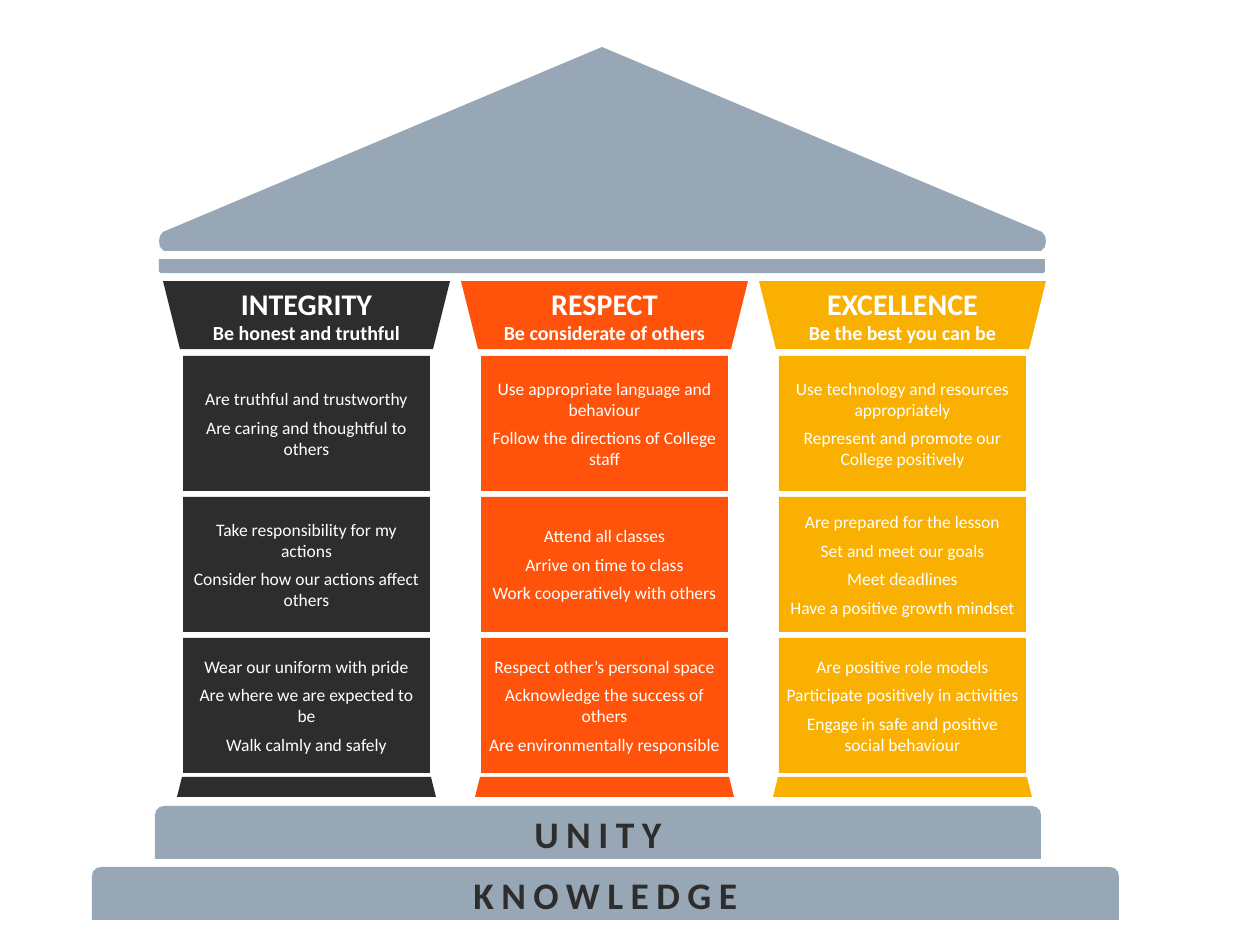
from pptx import Presentation
from pptx.dml.color import RGBColor
from pptx.enum.shapes import MSO_SHAPE as SHAPE
from pptx.enum.text import MSO_ANCHOR as ANCHOR, PP_ALIGN as ALIGN
from pptx.util import Emu, Pt

FONT = "Calibri"
STONE, INK, WHITE = "98A7B5", "2E2D2D", "FFFFFF"

PILLARS = [
    ("INTEGRITY", "Be honest and truthful", INK, [
        ["Are truthful and trustworthy", "Are caring and thoughtful to others"],
        ["Take responsibility for my actions", "Consider how our actions affect others"],
        ["Wear our uniform with pride", "Are where we are expected to be",
         "Walk calmly and safely"],
    ]),
    ("RESPECT", "Be considerate of others", "FF520A", [
        ["Use appropriate language and behaviour",
         "Follow the directions of College staff"],
        ["Attend all classes", "Arrive on time to class", "Work cooperatively with others"],
        ["Respect other’s personal space", "Acknowledge the success of others",
         "Are environmentally responsible"],
    ]),
    ("EXCELLENCE", "Be the best you can be", "FAB000", [
        ["Use technology and resources appropriately",
         "Represent and promote our College positively"],
        ["Are prepared for the lesson", "Set and meet our goals", "Meet deadlines",
         "Have a positive growth mindset"],
        ["Are positive role models", "Participate positively in activities",
         "Engage in safe and positive social behaviour"],
    ]),
]
STEPS = [("UNITY", (155, 806, 886, 53)), ("KNOWLEDGE", (92, 867, 1027, 53))]
ROOF = [(602, 47), (1042, 232), (1045, 236), (1046, 241), (1045, 247), (1041, 251),
        (164, 251), (160, 247), (159, 241), (160, 236), (163, 232)]

PILLAR_X, PILLAR_PITCH, BLOCK_W = 183, 298, 247
BLOCK_Y, BLOCK_PITCH, BLOCK_H = 356, 141, 135
CAP_Y, CAP_H, CAP_OVERHANG = 281, 68, 20
BASE_Y, BASE_H, BASE_OVERHANG = 777, 20, 6


def px(n):
    return Emu(n * 10160)


def color(hex_string):
    return RGBColor.from_string(hex_string)


def paint(s, fill):
    s.shadow.inherit = False
    s.fill.solid()
    s.fill.fore_color.rgb = color(fill)
    s.line.fill.background()


def add_block(kind, box, fill, rotation=0):
    s = shapes.add_shape(kind, *map(px, box))
    paint(s, fill)
    s.rotation = rotation
    return s


def write(s, lines, sizes, font_color, bold=False, space_after=0):
    """Fill a shape with centred lines, one size per line."""
    tf = s.text_frame
    tf.word_wrap = True
    tf.vertical_anchor = ANCHOR.MIDDLE
    tf.text = "\n".join(lines)
    for p, size in zip(tf.paragraphs, sizes):
        p.alignment = ALIGN.CENTER
        p.space_after = Pt(space_after)
        for r in p.runs:
            r.font.name, r.font.size, r.font.bold = FONT, Pt(size), bold
            r.font.color.rgb = color(font_color)
    return tf


prs = Presentation()
prs.slide_width, prs.slide_height = px(1260), px(945)
shapes = prs.slides.add_slide(prs.slide_layouts[6]).shapes

# Roof and beam
builder = shapes.build_freeform(*ROOF[0], scale=px(1))
builder.add_line_segments(ROOF[1:], close=True)
paint(builder.convert_to_shape(), STONE)
add_block(SHAPE.ROUND_2_SAME_RECTANGLE, (159, 259, 886, 14), STONE, 180)

# Pillars
for col, (value, motto, fill, blocks) in enumerate(PILLARS):
    x = PILLAR_X + col * PILLAR_PITCH
    cap = (x - CAP_OVERHANG, CAP_Y, BLOCK_W + 2 * CAP_OVERHANG, CAP_H)
    add_block(SHAPE.TRAPEZOID, cap, fill, 180)
    heading = shapes.add_textbox(*map(px, (x + 7, CAP_Y, BLOCK_W - 14, CAP_H)))
    write(heading, [value, motto], [24, 16], WHITE, bold=True)

    for row, lines in enumerate(blocks):
        y = BLOCK_Y + row * BLOCK_PITCH
        s = add_block(SHAPE.RECTANGLE, (x, y, BLOCK_W, BLOCK_H), fill)
        tf = write(s, lines, [14] * len(lines), WHITE, space_after=6)
        tf.margin_left = tf.margin_right = px(7)
        tf.margin_top = tf.margin_bottom = px(4)

    base = (x - BASE_OVERHANG, BASE_Y, BLOCK_W + 2 * BASE_OVERHANG, BASE_H)
    add_block(SHAPE.TRAPEZOID, base, fill)

# Steps
for word, box in STEPS:
    s = add_block(SHAPE.ROUND_2_SAME_RECTANGLE, box, STONE)
    tf = write(s, [word], [30], INK, bold=True)
    tf.word_wrap = False
    tf.paragraphs[0].runs[0].font._element.set("spc", "600")

prs.save("out.pptx")
